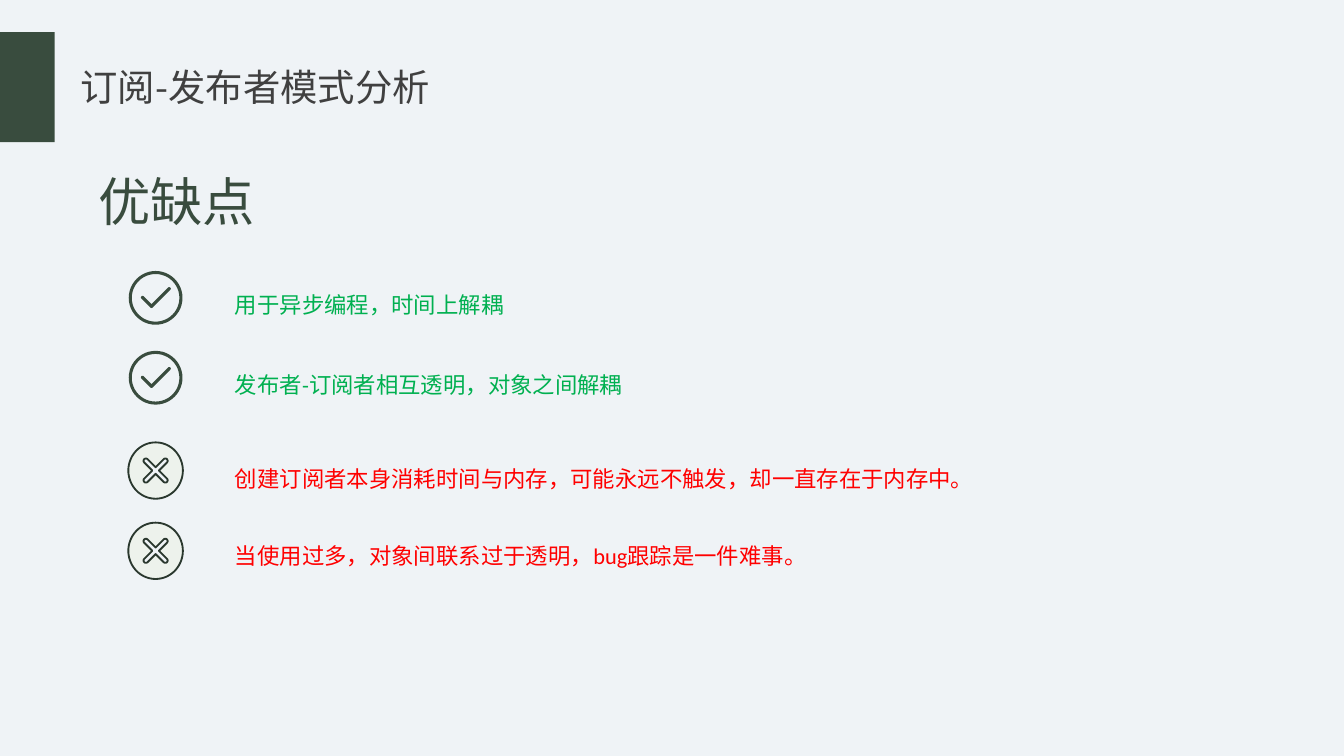
from dataclasses import dataclass
from math import cos, radians, sin, sqrt

from lxml.etree import SubElement
from pptx import Presentation
from pptx.dml.color import RGBColor
from pptx.enum.shapes import MSO_SHAPE
from pptx.enum.text import MSO_ANCHOR, MSO_AUTO_SIZE, PP_ALIGN
from pptx.oxml.ns import qn
from pptx.util import Pt


@dataclass(frozen=True)
class Theme:
    background: str = "EFF3F6"
    accent: str = "394C3E"
    title: str = "404040"
    pro: str = "00B050"
    con: str = "FF0000"
    cross_fill: str = "EDF2EC"
    cross_line: str = "2A382E"
    heading_font: str = "Noto Sans CJK SC"
    body_font: str = "Calibri"
    title_size: int = 20
    heading_size: int = 28
    body_size: int = 12


def arc(x, y, rx, ry, start, end, steps=12):
    """Points along an elliptical arc; angles in degrees, clockwise."""
    angles = [radians(start + (end - start) * i / steps) for i in range(steps + 1)]
    return [(x + rx * cos(a), y + ry * sin(a)) for a in angles]


class SlideBuilder:
    def __init__(self, slide, theme):
        self.slide = slide
        self.theme = theme
        self.paint(slide.background.fill, theme.background)

    def paint(self, fill, color):
        fill.solid()
        fill.fore_color.rgb = RGBColor.from_string(color)

    def finish(self, shape, color, outline=None):
        shape.shadow.inherit = False
        self.paint(shape.fill, color)
        if outline:
            self.paint(shape.line.fill, outline)
            shape.line.width = Pt(1)
        else:
            shape.line.fill.background()

    def preset(self, shapes, kind, left, top, width, height):
        shape = shapes.add_shape(kind, Pt(left), Pt(top), Pt(width), Pt(height))
        self.finish(shape, self.theme.accent)
        return shape

    def outline(self, shapes, contours, color, line=None):
        """Draw closed contours as one shape; inner contours become holes."""
        contours = [[(Pt(x), Pt(y)) for x, y in points] for points in contours]
        builder = shapes.build_freeform(*contours[0][0], scale=1.0)
        for index, points in enumerate(contours):
            if index:
                builder.move_to(*points[0])
            builder.add_line_segments(points[1:], close=True)
        self.finish(builder.convert_to_shape(), color, line)

    def set_text(self, shape, text, font, size, color, spacing=1.0):
        frame = shape.text_frame
        frame_format = {
            "word_wrap": True,
            "auto_size": MSO_AUTO_SIZE.NONE,
            "vertical_anchor": MSO_ANCHOR.TOP,
        }
        for name, value in frame_format.items():
            setattr(frame, name, value)
        paragraph = frame.paragraphs[0]
        paragraph.alignment = PP_ALIGN.LEFT
        paragraph.line_spacing = spacing
        run = paragraph.add_run()
        run.text = text
        for name, value in {"name": font, "size": Pt(size)}.items():
            setattr(run.font, name, value)
        self.paint(run.font.fill, color)
        east_asian = SubElement(run.font._element, qn("a:ea"))
        east_asian.set("typeface", self.theme.heading_font)

    def title(self, text, left, top, width, height):
        title = self.slide.shapes.title
        position = {"left": left, "top": top, "width": width, "height": height}
        for name, value in position.items():
            setattr(title, name, Pt(value))
        self.set_text(title, text, self.theme.heading_font, self.theme.title_size,
                      self.theme.title)

    def text(self, text, left, top, width, height, **style):
        box = self.slide.shapes.add_textbox(Pt(left), Pt(top), Pt(width), Pt(height))
        self.set_text(box, text, **style)

    def check_icon(self, x, y):
        shapes = self.slide.shapes.add_group_shape().shapes
        radius, stroke = 14.4, 0.85
        ring = self.preset(shapes, MSO_SHAPE.DONUT, x - radius, y - radius,
                           2 * radius, 2 * radius)
        ring.adjustments[0] = 0.057
        corner_x, corner_y = x - 2.2, y + 4.6
        tick = (
            arc(x - 7, y - 0.2, stroke, stroke, 135, 315)
            + [(corner_x, corner_y - stroke * sqrt(2))]
            + arc(x + 7.3, y - 4.9, stroke, stroke, 225, 405)
            + arc(corner_x, corner_y, stroke, stroke, 45, 135)
        )
        self.outline(shapes, [tick], self.theme.accent)

    def cross_icon(self, x, y):
        stroke, reach = 1.25, 5.2 * sqrt(2)
        cross = []
        for angle in range(45, 405, 90):
            tip_x = x + reach * cos(radians(angle))
            tip_y = y + reach * sin(radians(angle))
            cross += arc(tip_x, tip_y, stroke, stroke, angle - 90, angle + 90)
            notch = radians(angle + 45)
            cross.append((x + stroke * sqrt(2) * cos(notch),
                          y + stroke * sqrt(2) * sin(notch)))
        disc = arc(x, y, 14.6, 15.1, 0, 360, 72)[:-1]
        self.outline(self.slide.shapes, [disc, cross], self.theme.cross_fill,
                     self.theme.cross_line)


def main():
    theme = Theme()
    presentation = Presentation()
    presentation.slide_width, presentation.slide_height = Pt(720), Pt(405)
    title_only = presentation.slide_layouts[5]
    page = SlideBuilder(presentation.slides.add_slide(title_only), theme)

    page.preset(page.slide.shapes, MSO_SHAPE.RECTANGLE, 0, 17.2, 29.3, 59)
    page.title("订阅-发布者模式分析", 36, 31, 203, 31.5)
    page.text("优缺点", 45.5, 87, 331, 41, font=theme.heading_font,
              size=theme.heading_size, color=theme.accent)

    # Icon, colour, icon centre, label top, label
    points = [
        (page.check_icon, theme.pro, 159.6, 145, "用于异步编程，时间上解耦"),
        (page.check_icon, theme.pro, 202.4, 188, "发布者-订阅者相互透明，对象之间解耦"),
        (page.cross_icon, theme.con, 252.1, 238.2,
         "创建订阅者本身消耗时间与内存，可能永远不触发，却一直存在于内存中。"),
        (page.cross_icon, theme.con, 295.1, 279.8,
         "当使用过多，对象间联系过于透明，bug跟踪是一件难事。"),
    ]
    for draw_icon, color, center, label_top, label in points:
        draw_icon(83.4, center)
        page.text(label, 118.8, label_top, 445, 29, font=theme.body_font,
                  size=theme.body_size, color=color, spacing=1.5)

    presentation.save("out.pptx")


if __name__ == "__main__":
    main()
